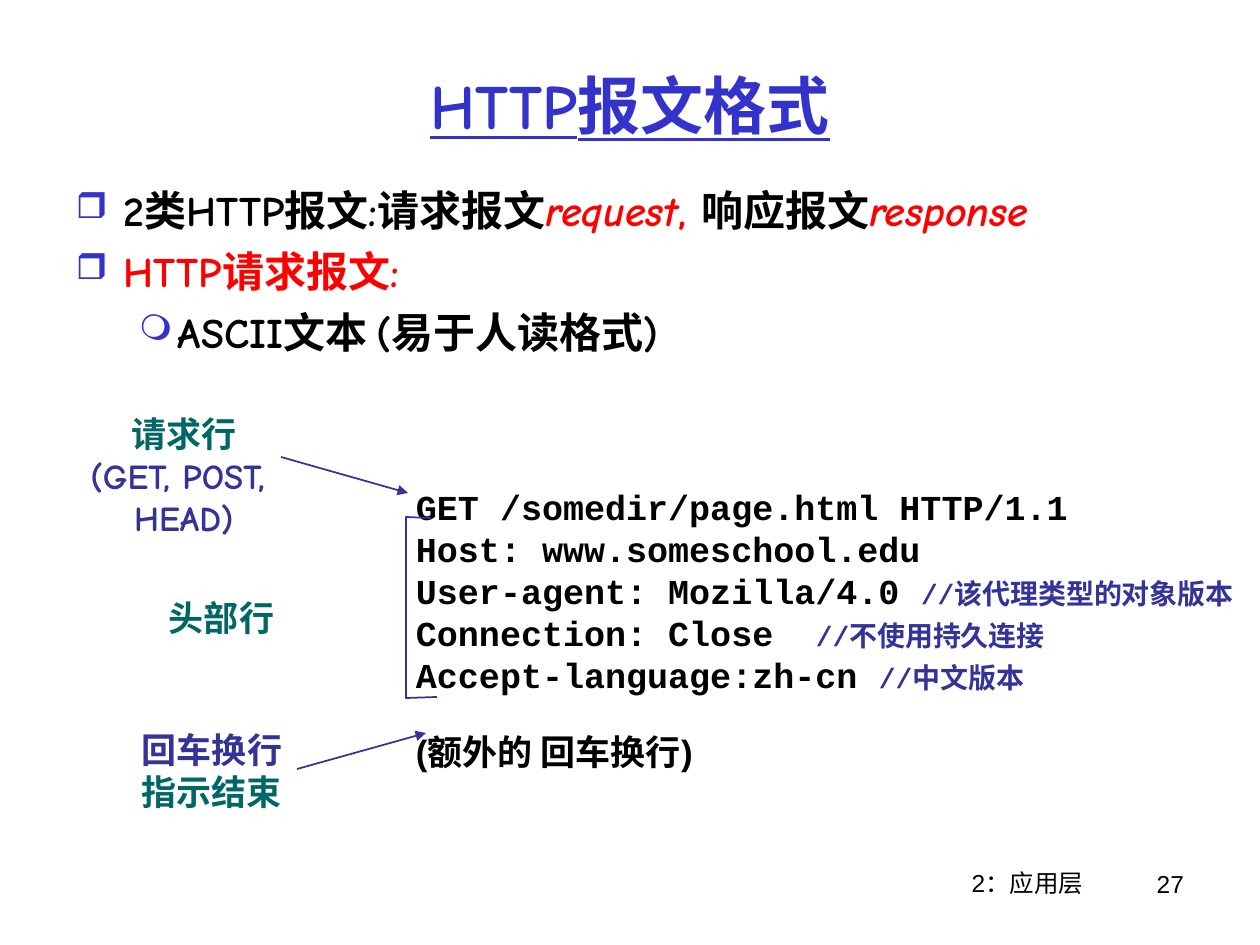
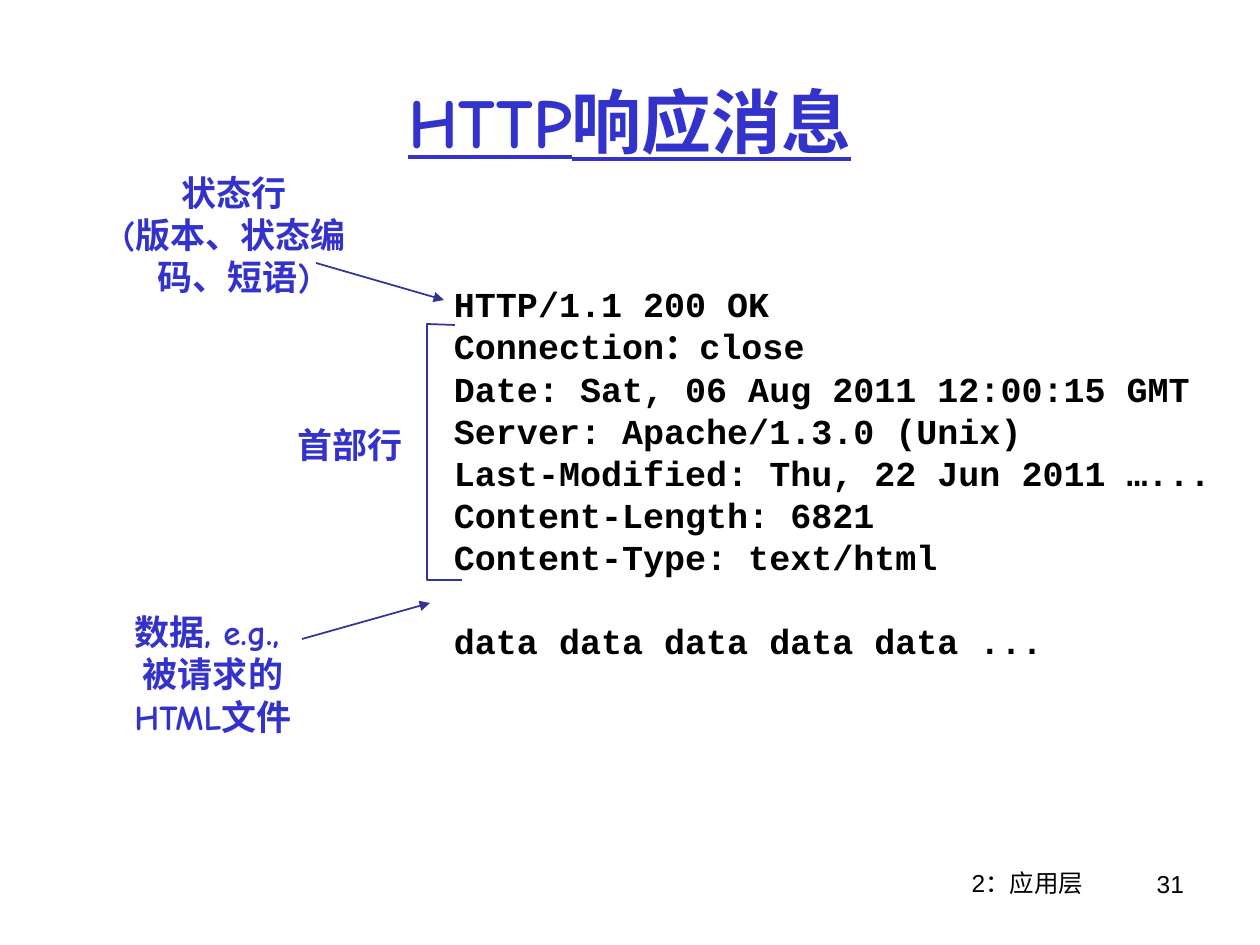
from lxml import etree
from pptx import Presentation
from pptx import util as u
from pptx.dml.color import RGBColor
from pptx.enum import shapes, text
from pptx.oxml.ns import qn

BLACK = RGBColor(0x00, 0x00, 0x00)
RED = RGBColor(0xFF, 0x00, 0x00)
BLUE = RGBColor(0x33, 0x33, 0xCC)
INDIGO = RGBColor(0x33, 0x33, 0x99)
TEAL = RGBColor(0x00, 0x66, 0x66)
HAND, MONO, SANS = "Comic Neue", "Courier New", "Arial"
CENTER, RIGHT = text.PP_ALIGN.CENTER, text.PP_ALIGN.RIGHT
MIDDLE = text.MSO_ANCHOR.MIDDLE

SLIDE_SIZE = (1260, 945)
EMU_PER_PX = 914400 / 126
INSET_X, INSET_Y = 13, 6
LINE_RATIO = 1.2
BASELINE_DROP = 0.18

TITLE = dict(font=HAND, color=BLUE, bold=True, underline=True, align=CENTER, anchor=MIDDLE)
BODY = dict(font=HAND, size=24, bold=True)
LABEL = dict(font=HAND, size=20, bold=True, align=CENTER)
CODE = dict(font=MONO, size=20, bold=True)
FOOTER = dict(font=SANS, size=14)
REMARK = dict(size=16, color=INDIGO)
TERM = dict(color=RED, italic=True)
SQUARE = dict(char="❒", margin=48, hang=48)
CIRCLE = dict(char="❍", margin=102, hang=39)

CHAPTER = "2：应用层"

REQUEST = dict(
    number="27",
    title=("HTTP报文格式", 36, (63, 38, 1134, 127)),
    texts=[
        ((63, 175, 1134, 669), BODY, [
            dict(runs=["2类HTTP报文:请求报文", ("request", TERM), (", ", dict(color=RED)),
                       "响应报文", ("response", TERM)], bullet=SQUARE),
            dict(runs=[("HTTP请求报文:", dict(color=RED))], bullet=SQUARE, before=6),
            dict(runs=["ASCII文本 (易于人读格式)"], bullet=CIRCLE, before=6),
        ]),
        ((403, 475, 857, 307), CODE, [
            "GET /somedir/page.html HTTP/1.1",
            "Host: www.someschool.edu",
            dict(runs=["User-agent: Mozilla/4.0 ", ("//该代理类型的对象版本", REMARK)]),
            dict(runs=["Connection: Close  ", ("//不使用持久连接", REMARK)]),
            dict(runs=["Accept-language:zh-cn ", ("//中文版本", REMARK)]),
            dict(runs=[("(额外的 回车换行)", dict(font=SANS))], before=20),
        ]),
        ((28, 402, 312, 139), LABEL | dict(color=INDIGO), [
            dict(runs=[("请求行", dict(color=TEAL))]), "(GET, POST, ", "HEAD)"]),
        ((156, 586, 249, 54), LABEL | dict(color=TEAL, align=None), ["头部行"]),
        ((125, 718, 174, 97), LABEL | dict(color=INDIGO), [
            "回车换行 ", dict(runs=[("指示结束", dict(color=TEAL))])]),
    ],
    arrows=[(281, 457, 408, 493), (297, 769, 426, 733)],
    header_bracket=[(431, 518), (406, 517), (406, 698), (437, 697)],
)

RESPONSE = dict(
    number="31",
    title=("HTTP响应消息", 40, (63, 38, 1134, 158)),
    texts=[
        ((441, 273, 804, 391), CODE, [
            "HTTP/1.1 200 OK",
            "Connection：close",
            "Date: Sat, 06 Aug 2011 12:00:15 GMT",
            "Server: Apache/1.3.0 (Unix)",
            "Last-Modified: Thu, 22 Jun 2011 …...",
            "Content-Length: 6821",
            "Content-Type: text/html",
            dict(runs=["data data data data data ..."], before=24),
        ]),
        ((103, 161, 262, 139), LABEL | dict(color=BLUE), ["状态行", "(版本、状态编码、短语)"]),
        ((275, 413, 141, 54), LABEL | dict(color=BLUE, align=RIGHT), ["首部行"]),
        ((116, 601, 194, 139), LABEL | dict(color=BLUE), ["数据, e.g., ", "被请求的", "HTML文件"]),
    ],
    arrows=[(316, 263, 444, 300), (302, 639, 430, 603)],
    header_bracket=[(455, 325), (427, 324), (427, 580), (462, 580)],
)


def px(length):
    return u.Emu(round(length * EMU_PER_PX))


def add_bullet(paragraph, char, margin, hang):
    props = paragraph._p.get_or_add_pPr()
    props.set("marL", str(px(margin)))
    props.set("indent", str(-px(hang)))
    tint = etree.SubElement(props, qn("a:buClr"))
    etree.SubElement(tint, qn("a:srgbClr"), val=str(BLUE))
    etree.SubElement(props, qn("a:buSzPct"), val="85000")
    etree.SubElement(props, qn("a:buChar"), char=char)


def style_run(run, font, size, color=BLACK, bold=False, italic=False, underline=False):
    run.font.name, run.font.size = font, u.Pt(size)
    run.font.bold, run.font.italic, run.font.underline = bold, italic, underline
    run.font.color.rgb = color


def add_text(slide, box, paragraphs, align=None, anchor=text.MSO_ANCHOR.TOP, **style):
    frame = slide.shapes.add_textbox(*map(px, box)).text_frame
    frame.word_wrap = True
    frame.vertical_anchor = anchor
    frame.margin_left = frame.margin_right = px(INSET_X)
    frame.margin_bottom = px(INSET_Y)
    frame.margin_top = px(INSET_Y + round(style["size"] * BASELINE_DROP))
    for index, content in enumerate(paragraphs):
        if isinstance(content, str):
            content = dict(runs=[content])
        paragraph = frame.add_paragraph() if index else frame.paragraphs[0]
        if "bullet" in content:
            add_bullet(paragraph, **content["bullet"])
        paragraph.alignment = align
        paragraph.line_spacing = u.Pt(style["size"] * LINE_RATIO)
        if "before" in content:
            paragraph.space_before = u.Pt(content["before"])
        for part in content["runs"]:
            words, changes = (part, {}) if isinstance(part, str) else part
            run = paragraph.add_run()
            run.text = words
            style_run(run, **(style | changes))


def add_arrow(slide, ends):
    arrow = slide.shapes.add_connector(shapes.MSO_CONNECTOR.STRAIGHT, *map(px, ends))
    arrow.line.color.rgb = INDIGO
    arrow.line.width = u.Pt(1)
    etree.SubElement(arrow.line._get_or_add_ln(), qn("a:tailEnd"), type="triangle")
    etree.SubElement(arrow._element.spPr, qn("a:effectLst"))


def add_bracket(slide, points):
    builder = slide.shapes.build_freeform(*points[0], scale=EMU_PER_PX)
    builder.add_line_segments(points[1:], close=False)
    bracket = builder.convert_to_shape()
    bracket.shadow.inherit = False
    bracket.fill.background()
    bracket.line.color.rgb = INDIGO
    bracket.line.width = u.Pt(1)


def add_message_slide(deck, message):
    slide = deck.slides.add_slide(deck.slide_layouts[6])
    add_text(slide, (828, 859, 399, 66), [CHAPTER], align=CENTER, **FOOTER)
    add_text(slide, (1086, 860, 111, 66), [message["number"]], align=RIGHT, **FOOTER)
    heading, size, box = message["title"]
    add_text(slide, box, [heading], size=size, **TITLE)
    for box, style, paragraphs in message["texts"]:
        add_text(slide, box, paragraphs, **style)
    for ends in message["arrows"]:
        add_arrow(slide, ends)
    add_bracket(slide, message["header_bracket"])


def main():
    deck = Presentation()
    deck.slide_width, deck.slide_height = map(px, SLIDE_SIZE)
    for message in (REQUEST, RESPONSE):
        add_message_slide(deck, message)
    deck.save("out.pptx")


if __name__ == "__main__":
    main()
